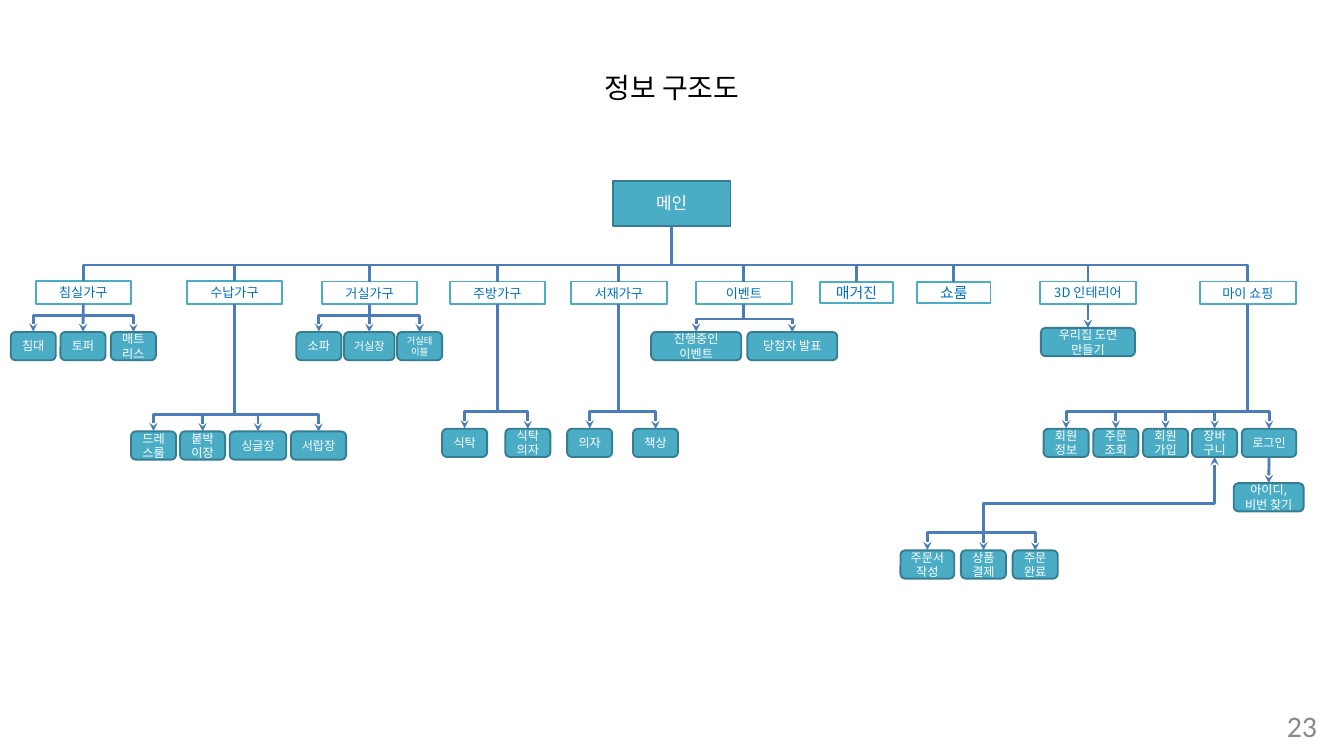
from dataclasses import dataclass

from lxml import etree
from pptx import Presentation
from pptx.dml.color import RGBColor
from pptx.enum import shapes, text
from pptx.oxml import ns
from pptx.util import Inches, Pt

TOP, BOTTOM = 0, 2
LEAF_HEIGHT = 0.42
BUS_Y = 3.94


@dataclass(frozen=True)
class Theme:
    accent: str = "4BACC6"
    accent_edge: str = "367D90"
    connector: str = "4A7DBA"
    category_text: str = "0070C0"
    white: str = "FFFFFF"
    black: str = "000000"
    grey: str = "888888"
    body_font: str = "Noto Sans CJK KR"
    title_font: str = "Arial"
    number_font: str = "Calibri"
    title_size: int = 30
    number_size: int = 32
    root_size: int = 18
    wide_category_size: int = 14
    short_category_size: int = 16
    leaf_size: int = 13
    edge: int = 2
    connector_width: int = 3


THEME = Theme()

# label, left, top, width, height, type size
WIDE = THEME.wide_category_size
SHORT = THEME.short_category_size
CATEGORIES = [
    ("침실가구", 0.53, 4.18, 1.42, 0.34, WIDE),
    ("수납가구", 2.78, 4.18, 1.42, 0.35, WIDE),
    ("거실가구", 4.79, 4.19, 1.42, 0.34, WIDE),
    ("주방가구", 6.69, 4.19, 1.42, 0.34, WIDE),
    ("서재가구", 8.5, 4.19, 1.42, 0.34, WIDE),
    ("이벤트", 10.36, 4.19, 1.42, 0.34, WIDE),
    ("매거진", 12.2, 4.19, 1.09, 0.32, SHORT),
    ("쇼룸", 13.65, 4.2, 1.09, 0.31, SHORT),
    ("3D 인테리어", 15.48, 4.19, 1.42, 0.33, WIDE),
    ("마이 쇼핑", 17.86, 4.19, 1.42, 0.34, WIDE),
]

# parent: leaf top, rail height above the leaves, leaves (label, left, width[, size])
BRANCHES = {
    "침실가구": (4.94, 0.25, [("침대", 0.16, 0.67), ("토퍼", 0.9, 0.67), ("매트리스", 1.65, 0.67)]),
    "수납가구": (6.42, 0.25, [("드레스룸", 1.95, 0.67), ("붙박이장", 2.68, 0.67),
                          ("싱글장", 3.42, 0.84), ("서랍장", 4.33, 0.82)]),
    "거실가구": (4.94, 0.25, [("소파", 4.41, 0.67), ("거실장", 5.12, 0.75, 12),
                          ("거실테이블", 5.91, 0.67, 10)]),
    "주방가구": (6.38, 0.25, [("식탁", 6.58, 0.67), ("식탁의자", 7.52, 0.67)]),
    "서재가구": (6.38, 0.25, [("의자", 8.44, 0.67), ("책상", 9.42, 0.67)]),
    "이벤트": (4.94, 0.19, [("진행중인 이벤트", 9.69, 1.34), ("당첨자 발표", 11.12, 1.34)]),
    "3D 인테리어": (4.88, 0.25, [("우리집 도면 만들기", 15.49, 1.4)]),
    "마이 쇼핑": (6.38, 0.25, [("회원정보", 15.53, 0.67), ("주문조회", 16.27, 0.67),
                           ("회원가입", 17.01, 0.67), ("장바구니", 17.74, 0.67),
                           ("로그인", 18.48, 0.81)]),
    "로그인": (7.19, 0.25, [("아이디, 비번 찾기", 18.36, 1.04)]),
    "장바구니": (8.19, 0.26, [("주문서 작성", 13.4, 0.8), ("상품 결제", 14.3, 0.67),
                          ("주문 완료", 15.07, 0.67)]),
}


def rgb(value):
    return RGBColor.from_string(value)


def center(box):
    return (box.left + box.width / 2) / Inches(1)


def top(box):
    return box.top / Inches(1)


def bottom(box):
    return (box.top + box.height) / Inches(1)


def write(frame, words, size, color, font=THEME.body_font,
          align=text.PP_ALIGN.CENTER, anchor=text.MSO_ANCHOR.MIDDLE):
    frame.word_wrap = True
    frame.auto_size = text.MSO_AUTO_SIZE.NONE
    frame.vertical_anchor = anchor
    paragraph = frame.paragraphs[0]
    paragraph.text = words
    paragraph.alignment = align
    paragraph.font.size = Pt(size)
    paragraph.font.color.rgb = rgb(color)
    paragraph.font.name = font
    if font == THEME.body_font:
        defaults = paragraph.font._element
        etree.SubElement(defaults, ns.qn("a:ea"), typeface=font)


def add_box(slide, words, at, size, fill=THEME.accent, edge=THEME.accent_edge,
            color=THEME.white, kind=shapes.MSO_SHAPE.RECTANGLE):
    box = slide.shapes.add_shape(kind, *map(Inches, at))
    box.shadow.inherit = False
    box.fill.solid()
    box.fill.fore_color.rgb = rgb(fill)
    box.line.color.rgb = rgb(edge)
    box.line.width = Pt(THEME.edge)
    write(box.text_frame, words, size, color)
    return box


def add_leaf(slide, y, words, x, width, size=THEME.leaf_size):
    return add_box(slide, words, (x, y, width, LEAF_HEIGHT), size,
                   kind=shapes.MSO_SHAPE.ROUNDED_RECTANGLE)


def style_connector(connector, *arrows):
    """Apply the common line look; arrows may hold headEnd and tailEnd."""
    connector.line.color.rgb = rgb(THEME.connector)
    connector.line.width = Pt(THEME.connector_width)
    line = connector.line._get_or_add_ln()
    for end in arrows:
        etree.SubElement(line, ns.qn(f"a:{end}"), type="stealth")
    etree.SubElement(connector._element.spPr, ns.qn("a:effectLst"))


def add_line(slide, start, end, *arrows, source=None, target=None):
    """Straight line, joined to the bottom of source and the top of target."""
    line = slide.shapes.add_connector(shapes.MSO_CONNECTOR.STRAIGHT, *map(Inches, start + end))
    if source is not None:
        line.begin_connect(source, BOTTOM)
    if target is not None:
        line.end_connect(target, TOP)
    style_connector(line, *arrows)


def add_elbow(slide, start, end, rail, *arrows):
    """Three-part connector: vertical, horizontal at height rail, vertical."""
    (x1, y1), (x2, y2) = start, end
    drop, span = max(abs(y2 - y1), 0.01), abs(x2 - x1)
    elbow = slide.shapes.add_connector(shapes.MSO_CONNECTOR.ELBOW, 0, 0, 0, 0)
    elbow.left = Inches((x1 + x2 - drop) / 2)
    elbow.top = Inches((y1 + y2 - span) / 2)
    elbow.width, elbow.height = Inches(drop), Inches(span)
    properties = elbow._element.spPr
    frame = properties.find(ns.qn("a:xfrm"))
    if x2 > x1:
        frame.set("rot", "16200000")
        frame.set("flipH", "1")
    else:
        frame.set("rot", "5400000")
    guides = properties.find(ns.qn("a:prstGeom")).get_or_add_avLst()
    bend = round((rail - y1) / drop * 100000)
    etree.SubElement(guides, ns.qn("a:gd"), name="adj1", fmla=f"val {bend}")
    style_connector(elbow, *arrows)


def add_branch(slide, parent, y, rise, leaves):
    """Draw the leaves of one parent and the lines to them; return the leaves."""
    boxes = [add_leaf(slide, y, *leaf) for leaf in leaves]
    rail = y - rise
    parent_x = center(parent)
    beside = not center(boxes[0]) - 0.1 < parent_x < center(boxes[-1]) + 0.1
    if len(boxes) > 1:
        add_elbow(slide, (center(boxes[0]), y), (center(boxes[-1]), y), rail,
                  "headEnd", "tailEnd")
    if beside:
        target = boxes[len(boxes) // 2]
        add_elbow(slide, (parent_x, bottom(parent)), (center(target), y),
                  (bottom(parent) + y) / 2, "headEnd", "tailEnd")
        return boxes

    stem_needed = True
    inner = boxes[1:-1] if len(boxes) > 1 else boxes
    for box in inner:
        x = center(box)
        if abs(x - parent_x) < 0.02:
            add_line(slide, (parent_x, bottom(parent)), (x, y), "tailEnd",
                     source=parent, target=box)
            stem_needed = False
        else:
            add_line(slide, (x, rail), (x, y), "tailEnd", target=box)
    if stem_needed:
        add_line(slide, (parent_x, bottom(parent)), (parent_x, rail), source=parent)
    return boxes


def add_categories(slide, root):
    boxes = {}
    for words, x, y, width, height, size in CATEGORIES:
        boxes[words] = add_box(slide, words, (x, y, width, height), size, fill=THEME.white,
                               edge=THEME.accent, color=THEME.category_text)
    first, *middle, last = boxes.values()
    add_elbow(slide, (center(first), top(first)), (center(last), top(last)), BUS_Y)
    for box in middle:
        add_line(slide, (center(box), BUS_Y), (center(box), top(box)), target=box)
    add_line(slide, (center(root), bottom(root)), (center(root), BUS_Y), source=root)
    return boxes


def add_title(slide, words):
    title = slide.shapes.title
    title.left, title.top, title.width, title.height = map(Inches, (4.94, 1, 10.12, 0.61))
    write(title.text_frame, words, THEME.title_size, THEME.black, THEME.title_font,
          anchor=text.MSO_ANCHOR.TOP)


def add_page_number(slide, number):
    box = slide.shapes.add_textbox(*map(Inches, (17.37, 10.6, 2.33, 0.4)))
    write(box.text_frame, number, THEME.number_size, THEME.grey, THEME.number_font,
          align=text.PP_ALIGN.RIGHT)


def main():
    deck = Presentation()
    deck.slide_width, deck.slide_height = Inches(20), Inches(11.25)
    slide = deck.slides.add_slide(deck.slide_layouts.get_by_name("Title Only"))
    add_title(slide, "정보 구조도")
    root = add_box(slide, "메인", (9.12, 2.69, 1.75, 0.67), THEME.root_size)
    boxes = add_categories(slide, root)
    for parent, (y, rise, leaves) in BRANCHES.items():
        drawn = add_branch(slide, boxes[parent], y, rise, leaves)
        boxes.update((leaf[0], box) for leaf, box in zip(leaves, drawn))
    add_page_number(slide, "23")
    deck.save("out.pptx")


if __name__ == "__main__":
    main()
